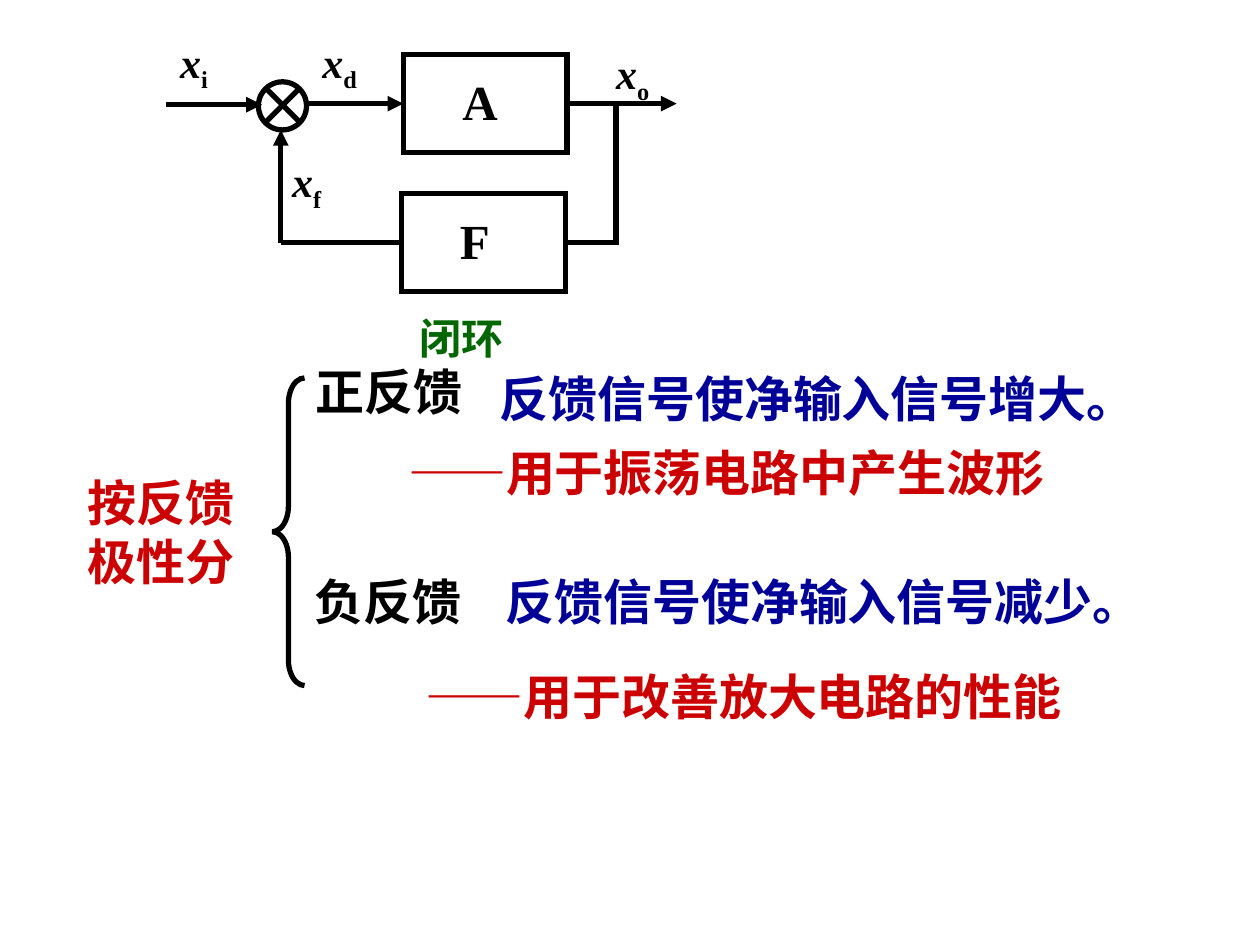
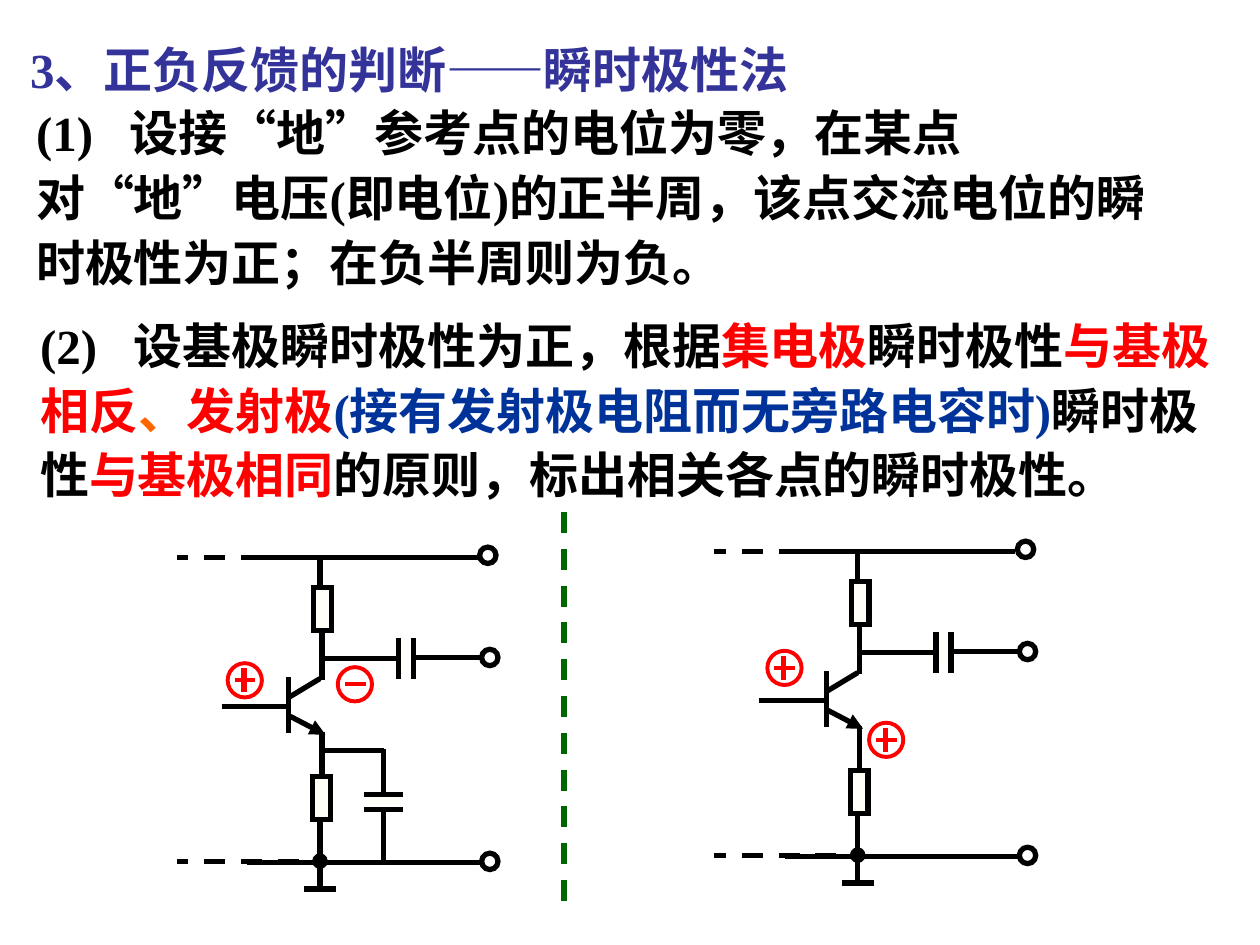
from lxml.etree import SubElement
from pptx import Presentation
from pptx.dml.color import RGBColor
from pptx.enum.dml import MSO_LINE
from pptx.enum.shapes import MSO_CONNECTOR, MSO_SHAPE
from pptx.enum.text import MSO_ANCHOR
from pptx.oxml.ns import qn
from pptx.util import Cm, Pt

FONT = "Times New Roman"
BLACK, RED, BRIGHT_RED, GREEN = "000000", "CC0000", "FF0000", "006600"
BLUE, INDIGO, ROYAL, ORANGE = "000099", "333399", "003399", "FF6600"
WHITE, IVORY = "FFFFFF", "FFFFF7"
LEFT, RIGHT = 1, 3


def color(hex_string):
    return RGBColor.from_string(hex_string)


def add_span(para, text, size=28, ink=BLACK, italic=False, baseline=None):
    span = para.add_run()
    span.text = text
    font = span.font
    font.name, font.size, font.bold, font.italic = FONT, Pt(size), True, italic
    font.color.rgb = color(ink)
    properties = span._r.get_or_add_rPr()
    properties.set("lang", "zh-CN")
    if baseline:
        properties.set("baseline", str(baseline))


class Sketch:
    def __init__(self):
        self.deck = Presentation()
        self.deck.slide_width, self.deck.slide_height = Cm(25.4), Cm(19.05)
        self.page = None

    def new_page(self):
        self.page = self.deck.slides.add_slide(self.deck.slide_layouts[6])

    def text(self, left, top, width, height, spans, spacing=None,
             anchor=MSO_ANCHOR.TOP, tab=None, **style):
        box = self.page.shapes.add_textbox(Cm(left), Cm(top), Cm(width), Cm(height))
        frame = box.text_frame
        frame.word_wrap = True
        frame.vertical_anchor = anchor
        para = frame.paragraphs[0]
        if tab:
            stops = SubElement(para._p.get_or_add_pPr(), qn("a:tabLst"))
            SubElement(stops, qn("a:tab"), pos=str(Cm(tab)), algn="l")
        if spacing:
            para.line_spacing = spacing
        if isinstance(spans, str):
            spans = [(spans, {})]
        for words, extra in spans:
            add_span(para, words, **{**style, **extra})

    def signal(self, left, top, subscript):
        self.text(left, top, 1.57, 1.42,
                  [("x", {"italic": True}), (subscript, {"baseline": -25000})], size=24)

    def shape(self, kind, left, top, width, height, fill=None, ink=BLACK, weight=3):
        shape = self.page.shapes.add_shape(kind, Cm(left), Cm(top), Cm(width), Cm(height))
        shape.shadow.inherit = False
        if fill:
            shape.fill.solid()
            shape.fill.fore_color.rgb = color(fill)
        else:
            shape.fill.background()
        shape.line.color.rgb = color(ink)
        shape.line.width = Pt(weight)
        outline = shape._element.spPr.find(qn("a:ln"))
        SubElement(outline, qn("a:miter"), lim="800000")
        return shape

    def rectangle(self, *place, **style):
        return self.shape(MSO_SHAPE.RECTANGLE, *place, **style)

    def circle(self, left, top, size, **style):
        return self.shape(MSO_SHAPE.OVAL, left, top, size, size, **style)

    def line(self, x1, y1, x2, y2, ink=BLACK, weight=3, dashed=False,
             head=None, tail=None, start=None, end=None):
        line = self.page.shapes.add_connector(
            MSO_CONNECTOR.STRAIGHT, Cm(x1), Cm(y1), Cm(x2), Cm(y2))
        if start:
            line.begin_connect(*start)
        if end:
            line.end_connect(*end)
        line.line.color.rgb = color(ink)
        line.line.width = Pt(weight)
        if dashed:
            line.line.dash_style = MSO_LINE.DASH
        properties = line._element.spPr
        outline = properties.find(qn("a:ln"))
        for name, marker in (("a:headEnd", head), ("a:tailEnd", tail)):
            if marker:
                SubElement(outline, qn(name), type=marker)
        SubElement(properties, qn("a:effectLst"))

    def polarity(self, left, top, positive):
        self.circle(left, top, 0.69, ink=BRIGHT_RED, weight=2.25)
        middle = top + 0.34
        self.line(left + 0.14, middle, left + 0.56, middle, ink=BRIGHT_RED, weight=2.25)
        if positive:
            center = left + 0.33
            self.line(center, top + 0.1, center, top + 0.58, ink=BRIGHT_RED)

    def wires(self, left, top, routes, **style):
        for x1, y1, x2, y2 in routes:
            self.line(left + x1, top + y1, left + x2, top + y2, **style)

    def capacitor(self, left, top, upright):
        width, height = (0.25, 0.74) if upright else (0.74, 0.25)
        self.rectangle(left, top, width, height, fill=IVORY, ink=WHITE)
        for shift in (0, 0.3):
            if upright:
                self.line(left + shift, top - 0.02, left + shift, top + 0.79)
            else:
                self.line(left - 0.02, top + shift, left + 0.77, top + shift)

    def amplifier(self, left, top, bypassed):
        collector, trunk, rail = 2.93, 2.89, 6.15
        for x, y in ((2.76, 0.61), (2.74, 4.42)):
            self.rectangle(left + x, top + y, 0.36, 0.86, fill=IVORY)
        self.capacitor(left + 4.47, top + 1.65, upright=True)
        self.wires(left, top, [
            (2.26, 2.41, 2.26, 3.53), (2.26, 2.82, trunk, 2.44),
            (0.91, 3, 2.29, 3), (collector, 1.45, collector, 2.46),
            (collector, 2.03, 4.47, 2.03), (4.8, 2.01, rail, 2.01),
            (trunk, 0.61, trunk, 0), (collector, 3.51, collector, 4.45),
            (trunk, 5.31, trunk, 6.17), (1.42, 0, 6.07, 0),
            (1.42, rail, rail, rail), (2.57, 6.68, 3.22, 6.68)])
        self.wires(left, top, [(2.46, 0, 0, 0), (2.46, 6.12, 0, 6.12)], dashed=True)
        self.wires(left, top, [(2.29, 3.2, 3, 3.57)], tail="triangle")
        self.wires(left, top, [(trunk, 6.12, trunk, 6.68)], head="oval")
        for x, y in ((6.11, -0.21), (6.15, 1.85), (6.15, 5.96)):
            self.circle(left + x, top + y, 0.33)
        if bypassed:
            self.capacitor(left + 3.8, top + 4.78, upright=False)
            self.wires(left, top, [
                (collector, 3.89, 4.19, 3.89), (4.17, 3.86, 4.17, 4.75),
                (4.17, 5.08, 4.17, 6.17)])


def draw_feedback_types(sketch):
    sketch.new_page()
    forward = sketch.rectangle(8.13, 1.1, 3.3, 1.98)
    feedback = sketch.rectangle(8.1, 3.9, 3.3, 1.98)
    sketch.text(9.07, 1.32, 1.45, 1.45, "A")
    sketch.text(9.02, 4.11, 1.45, 1.45, "F")

    sketch.circle(5.21, 1.65, 0.97)
    sketch.line(6.02, 1.8, 5.38, 2.44)
    sketch.line(5.38, 1.8, 6.04, 2.46)
    sketch.line(3.35, 2.11, 5.28, 2.11, tail="triangle")
    sketch.line(6.22, 2.09, 8.13, 2.09, tail="triangle", end=(forward, LEFT))
    sketch.line(11.43, 2.09, 13.64, 2.09, tail="triangle", start=(forward, RIGHT))
    sketch.line(12.42, 2.08, 12.42, 4.94)
    sketch.line(12.42, 4.89, 11.4, 4.89, end=(feedback, RIGHT))
    sketch.line(8.1, 4.89, 5.66, 4.89, start=(feedback, LEFT))
    sketch.line(5.66, 4.9, 5.66, 2.62, tail="triangle")

    for left, top, subscript in ((3.38, 0.61, "i"), (6.25, 0.61, "d"),
                                 (12.17, 0.84, "o"), (5.64, 3.02, "f")):
        sketch.signal(left, top, subscript)
    sketch.text(8.2, 6.17, 2.6, 1.27, "闭环", size=24, ink=GREEN)

    sketch.text(1.52, 9.4, 3.71, 2.64, "按反馈极性分", ink=RED)
    brace = sketch.shape(MSO_SHAPE.LEFT_BRACE, 5.49, 7.62, 0.65, 6.2)
    brace.adjustments[0] = 0.79
    for left, top, width, words, ink in (
            (6.12, 7.16, 3.96, "正反馈", BLACK),
            (9.82, 7.3, 14.2, "反馈信号使净输入信号增大。", BLUE),
            (7.98, 8.79, 15.44, "——用于振荡电路中产生波形", RED),
            (6.1, 11.4, 3.71, "负反馈", BLACK),
            (9.94, 11.4, 14.2, "反馈信号使净输入信号减少。", BLUE),
            (8.33, 13.31, 14.33, "——用于改善放大电路的性能", RED)):
        sketch.text(left, top, width, 1.45, words, ink=ink)


def draw_polarity_method(sketch):
    sketch.new_page()
    sketch.text(0.36, 0.43, 18.34, 1.93, "3、正负反馈的判断——瞬时极性法",
                ink=INDIGO, anchor=MSO_ANCHOR.MIDDLE)
    sketch.text(0.48, 1.83, 23.32, 4.17,
                "(1)\t设接“地”参考点的电位为零，在某点对“地”电压(即电位)的正半周，"
                "该点交流电位的瞬时极性为正；在负半周则为负。", spacing=1.1, tab=1.89)
    red = {"ink": BRIGHT_RED}
    sketch.text(0.56, 6.12, 24.23, 4.17, [
        ("(2)\t设基极瞬时极性为正，根据", {}), ("集电极", red), ("瞬时极性", {}),
        ("与基极相反", red), ("、", {"ink": ORANGE}), ("发射极", red),
        ("(接有发射极电阻而无旁路电容时)", {"ink": ROYAL}), ("瞬时极性", {}),
        ("与基极相同", red), ("的原则，标出相关各点的瞬时极性。", {})],
        spacing=1.1, tab=1.89)

    sketch.line(11.37, 10.32, 11.37, 18.19, ink=GREEN, dashed=True)
    sketch.amplifier(3.56, 11.24, bypassed=True)
    sketch.amplifier(14.4, 11.12, bypassed=False)
    for left, top, positive in ((4.59, 13.37, True), (6.81, 13.45, False),
                                (15.47, 13.12, True), (17.52, 14.57, True)):
        sketch.polarity(left, top, positive)


def main():
    sketch = Sketch()
    draw_feedback_types(sketch)
    draw_polarity_method(sketch)
    sketch.deck.save("out.pptx")


if __name__ == "__main__":
    main()
